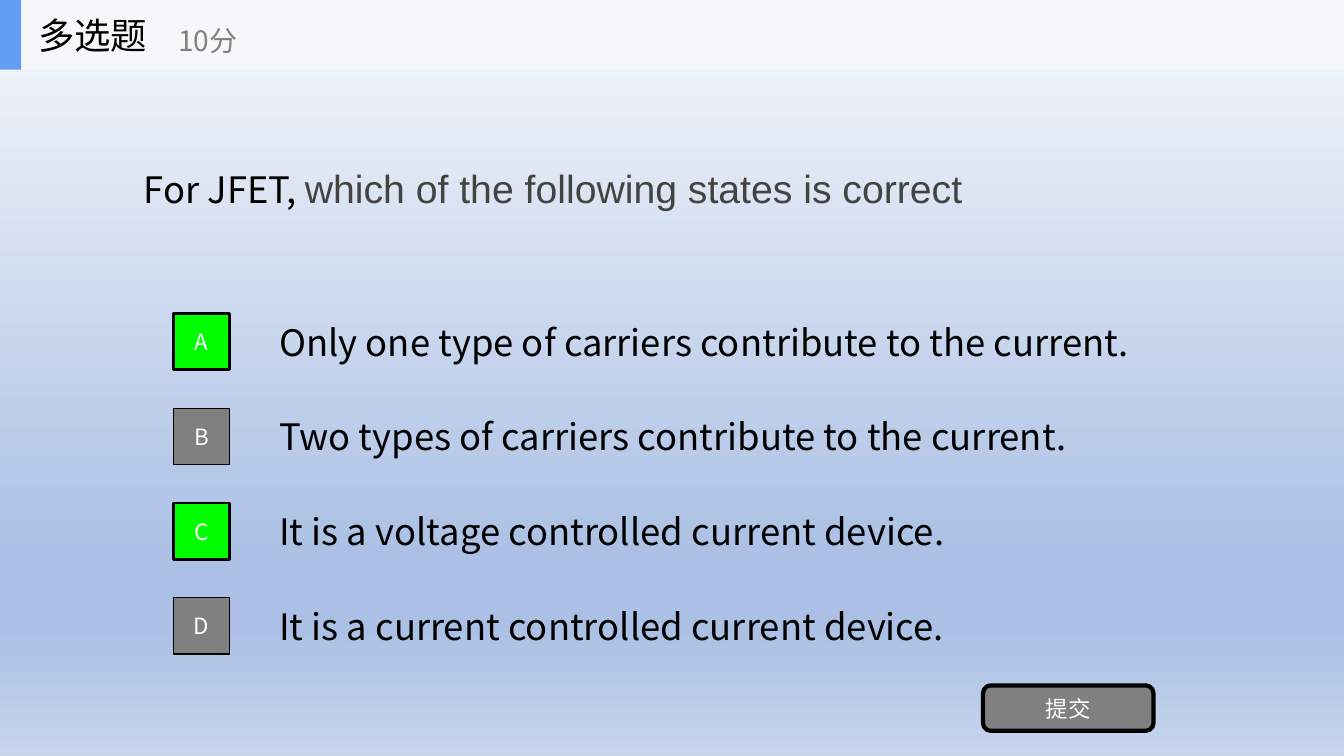
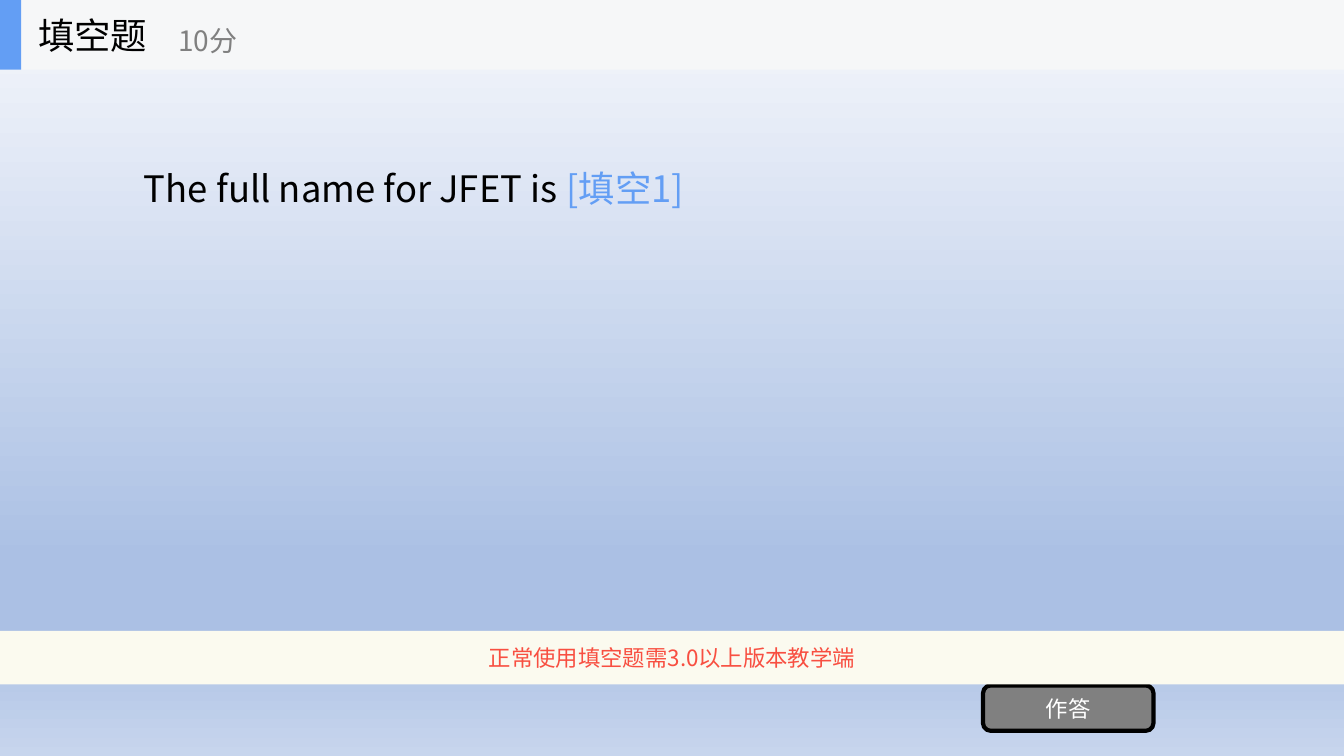
from dataclasses import dataclass

from lxml.etree import SubElement
from pptx import Presentation
from pptx.dml.color import RGBColor as Color
from pptx.enum.shapes import MSO_SHAPE as Preset
from pptx.enum.text import MSO_ANCHOR as Anchor, PP_ALIGN as Align
from pptx.oxml.ns import qn
from pptx.util import Inches, Pt


@dataclass(frozen=True)
class Theme:
    face: str = "Noto Sans CJK SC"
    accent_face: str = "Arial"
    body_size: int = 26
    accent_size: int = 28
    points_size: int = 20
    label_size: int = 16
    ink: str = "000000"
    soft_ink: str = "434343"
    gray: str = "808080"
    white: str = "FFFFFF"
    blue: str = "639EF4"
    green: str = "00FF00"
    band: str = "F6F7F8"
    notice_fill: str = "FBFAEF"
    notice_ink: str = "F84F41"
    backdrop: tuple = ((0, "F6F8FC"), (74, "ABC0E4"), (83, "ABC0E4"), (100, "C7D5ED"))


@dataclass(frozen=True)
class Box:
    left: float
    top: float
    width: float
    height: float

    def inner(self, left, top, width, height):
        return Box(self.left + left, self.top + top, width, height)

    def lengths(self):
        return [Inches(n) for n in (self.left, self.top, self.width, self.height)]


@dataclass(frozen=True)
class Span:
    text: str
    color: str = ""
    size: int = 0
    face: str = ""


THEME = Theme()
PAGE = Box(0, 0, 13.33, 7.5)
HEADER = Box(0, 0, PAGE.width, 0.69)
QUESTION = Box(1.33, 0.69, 10.67, 2.34)
CHOICES = Box(1.72, 3.04, 10.28, 3.52)
NOTICE = Box(0, 6.26, PAGE.width, 0.53)
BUTTON = Box(9.75, 6.8, 1.69, 0.45)


def style(font, color="", size=0, face=""):
    if color:
        font.color.rgb = Color.from_string(color)
    if size:
        font.size = Pt(size)
    if face:
        font.name = face


def write(shape, spans, size, color=THEME.ink, align=Align.LEFT):
    frame = shape.text_frame
    frame.word_wrap = True
    frame.vertical_anchor = Anchor.MIDDLE
    para = frame.paragraphs[0]
    para.alignment = align
    style(para.font, color, size, THEME.face)
    defaults = para._p.pPr.find(qn("a:defRPr"))
    SubElement(defaults, qn("a:ea")).set("typeface", THEME.face)
    for item in spans:
        span = para.add_run()
        span.text = item.text
        style(span.font, item.color, item.size, item.face)


def add_text(shapes, box, spans, size, color=THEME.ink):
    write(shapes.add_textbox(*box.lengths()), spans, size, color)


def add_panel(shapes, box, fill, border=0, preset=Preset.RECTANGLE):
    panel = shapes.add_shape(preset, *box.lengths())
    panel.shadow.inherit = False
    panel.fill.solid()
    panel.fill.fore_color.rgb = Color.from_string(fill)
    if border:
        panel.line.color.rgb = Color.from_string(THEME.ink)
        panel.line.width = Pt(border)
    else:
        panel.line.fill.background()
    return panel


def add_label(panel, text, color=THEME.white):
    write(panel, [Span(text)], THEME.label_size, color, Align.CENTER)


def add_header(page, box, title, points):
    shapes = page.shapes.add_group_shape().shapes
    add_panel(shapes, box, THEME.band)
    add_panel(shapes, box.inner(0, 0, 0.21, box.height), THEME.blue)
    add_text(shapes, box.inner(0.28, 0, 2.08, box.height), [Span(title)], THEME.body_size)
    add_text(shapes, box.inner(1.67, 0.12, 2.5, 0.56), [Span(points)],
             THEME.points_size, THEME.gray)


def add_choices(page, box, choices):
    pitch, row_height, badge_side, text_left = 0.94, 0.7, 0.56, 0.95
    for index, (text, correct) in enumerate(choices):
        top = index * pitch
        add_text(page.shapes, box.inner(text_left, top, box.width - text_left, row_height),
                 [Span(text)], THEME.body_size)
        badge_box = box.inner(0, top + (row_height - badge_side) / 2, badge_side, badge_side)
        fill, border = (THEME.green, 2) if correct else (THEME.gray, 1)
        add_label(add_panel(page.shapes, badge_box, fill, border), "ABCD"[index])


def add_button(page, box, text):
    add_label(add_panel(page.shapes, box, THEME.gray, 3, Preset.ROUNDED_RECTANGLE), text)


def add_notice(page, box, text):
    add_label(add_panel(page.shapes, box, THEME.notice_fill), text, THEME.notice_ink)


def add_question_page(deck, title, question, button, choices=(), notice=""):
    page = deck.slides.add_slide(deck.slide_layouts[6])
    add_text(page.shapes, QUESTION, question, THEME.body_size)
    add_choices(page, CHOICES, choices)
    add_button(page, BUTTON, button)
    if notice:
        add_notice(page, NOTICE, notice)
    add_header(page, HEADER, title, "10分")


def paint_backdrop(master):
    fill = master.background.fill
    fill.gradient()
    fill.gradient_angle = 270
    stops = next(master.element.iter(qn("a:gsLst")))
    for stop in list(stops):
        stops.remove(stop)
    for percent, color in THEME.backdrop:
        stop = SubElement(stops, qn("a:gs"), pos=str(percent * 1000))
        SubElement(stop, qn("a:srgbClr"), val=color)


def main():
    deck = Presentation()
    deck.slide_width, deck.slide_height = Inches(PAGE.width), Inches(PAGE.height)
    paint_backdrop(deck.slide_master)
    add_question_page(
        deck,
        "多选题",
        [Span("For JFET, "),
         Span("which of the following states is correct",
              THEME.soft_ink, THEME.accent_size, THEME.accent_face)],
        "提交",
        choices=[
            ("Only one type of carriers contribute to the current.", True),
            ("Two types of carriers contribute to the current.", False),
            ("It is a voltage controlled current device.", True),
            ("It is a current controlled current device.", False),
        ],
    )
    add_question_page(
        deck,
        "填空题",
        [Span("The full name for JFET is "), Span("[填空1]", THEME.blue)],
        "作答",
        notice="正常使用填空题需3.0以上版本教学端",
    )
    deck.save("out.pptx")


if __name__ == "__main__":
    main()
